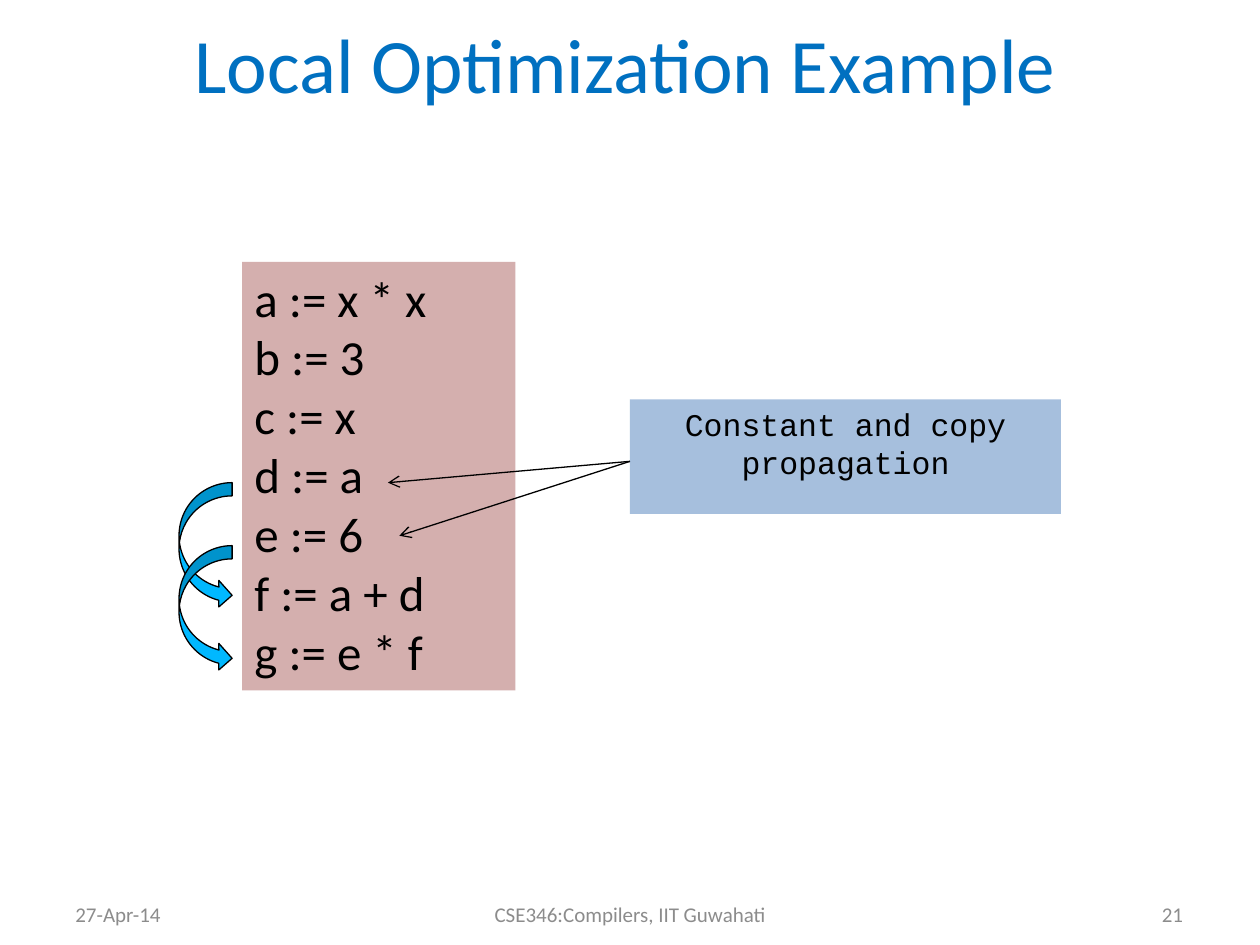
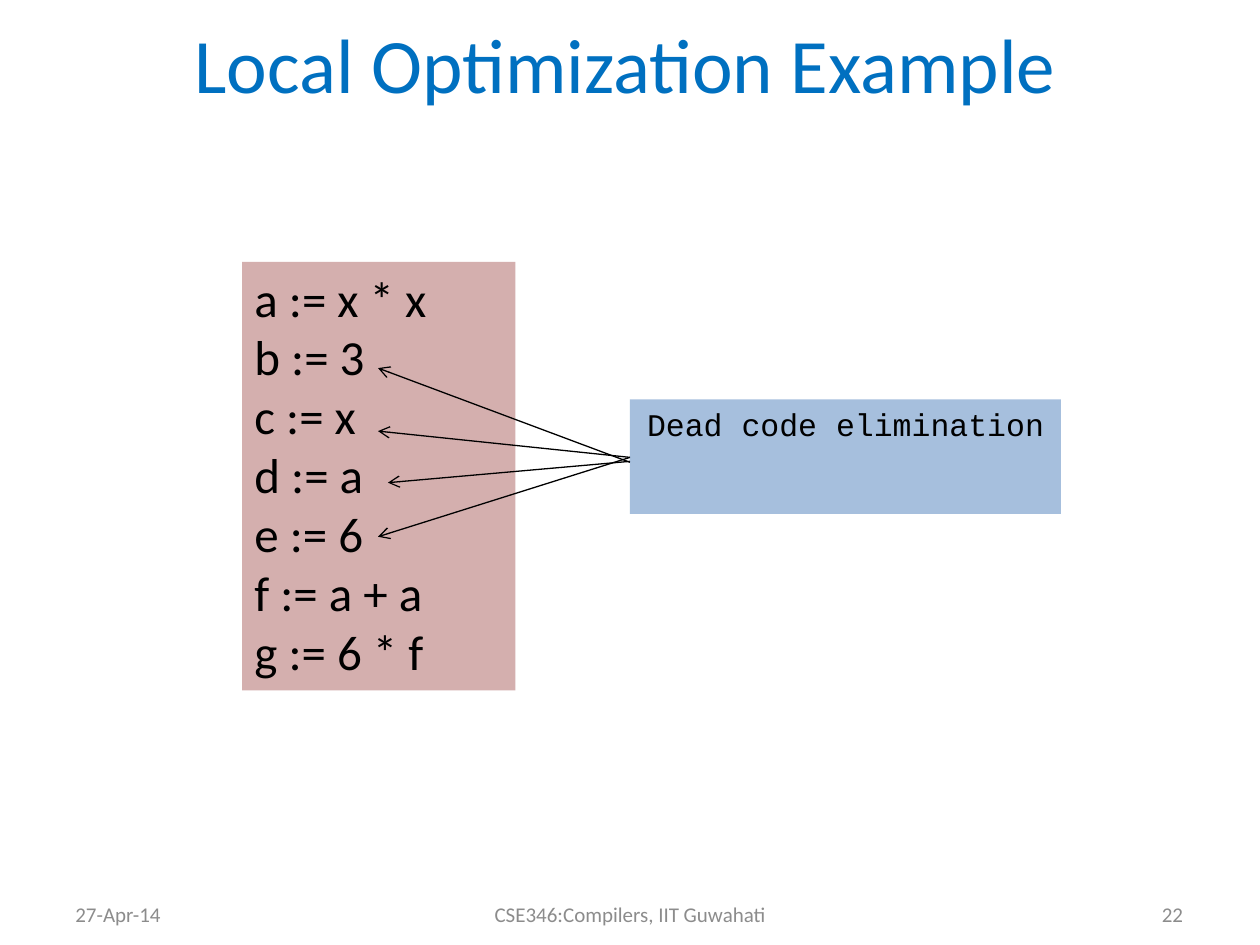
from dataclasses import dataclass

from lxml import etree
from pptx import Presentation
from pptx.dml.color import RGBColor
from pptx.enum.shapes import MSO_CONNECTOR, MSO_SHAPE
from pptx.enum.text import MSO_ANCHOR, PP_ALIGN
from pptx.oxml.ns import qn
from pptx.slide import Slide
from pptx.util import Cm, Pt

LEFT, CENTER, RIGHT = PP_ALIGN.LEFT, PP_ALIGN.CENTER, PP_ALIGN.RIGHT
TOP, MIDDLE = MSO_ANCHOR.TOP, MSO_ANCHOR.MIDDLE
RECTANGLE, CURVED_ARROW = MSO_SHAPE.RECTANGLE, MSO_SHAPE.CURVED_RIGHT_ARROW
STRAIGHT = MSO_CONNECTOR.STRAIGHT

COLORS = {
    "title": "0070C0",
    "footer": "8C8C8C",
    "code": "953735",
    "technique": "4F81BD",
    "flow": "00B8FF",
    "ink": "000000",
}


@dataclass(frozen=True)
class Box:
    left: float
    top: float
    width: float
    height: float


@dataclass(frozen=True)
class TextStyle:
    size: int
    color: str = "ink"
    align: PP_ALIGN = LEFT
    anchor: MSO_ANCHOR = TOP
    font: str = "Calibri"


@dataclass(frozen=True)
class Pointer:
    start_y: float
    end_x: float
    end_y: float


@dataclass(frozen=True)
class Step:
    number: int
    code: tuple[str, ...]
    technique: str
    pointers: tuple[Pointer, ...]
    flow_tops: tuple[float, ...] = ()


TITLE = "Local Optimization Example"
DATE = "27-Apr-14"
COURSE = "CSE346:Compilers, IIT Guwahati"
TITLE_BOX = Box(0.64, 0, 23.93, 2.54)
DATE_BOX = Box(1.27, 18.01, 5.89, 0.84)
COURSE_BOX = Box(8.69, 18.01, 8.03, 0.84)
NUMBER_BOX = Box(18.21, 18.01, 5.89, 0.84)
CODE_BOX = Box(4.88, 5.28, 5.51, 8.64)
TECHNIQUE_BOX = Box(12.7, 8.05, 8.69, 2.31)

TITLE_STYLE = TextStyle(44, "title", CENTER, MIDDLE)
CODE_STYLE = TextStyle(28)
TECHNIQUE_STYLE = TextStyle(18, align=CENTER, font="Courier New")

COMMON_CODE = ("a := x * x", "b := 3", "c := x", "d := a", "e := 6")
COPY_POINTER = Pointer(9.3, 7.82, 9.73)
STEPS = (
    Step(
        21,
        COMMON_CODE + ("f := a + d", "g := e * f"),
        "Constant and copy propagation",
        (Pointer(9.3, 8.05, 10.8), COPY_POINTER),
        (9.73, 11.0),
    ),
    Step(
        22,
        COMMON_CODE + ("f := a + a", "g := 6 * f"),
        "Dead code elimination",
        (
            Pointer(9.22, 7.62, 10.82),
            COPY_POINTER,
            Pointer(9.22, 7.62, 8.69),
            Pointer(9.32, 7.62, 7.42),
        ),
    ),
)


def rgb(name: str) -> RGBColor:
    return RGBColor.from_string(COLORS[name])


def extent(box: Box) -> tuple[Cm, Cm, Cm, Cm]:
    return Cm(box.left), Cm(box.top), Cm(box.width), Cm(box.height)


def write(shape, lines: tuple[str, ...], style: TextStyle) -> None:
    frame = shape.text_frame
    frame.word_wrap = True
    frame.vertical_anchor = style.anchor
    frame.text = "\n".join(lines)
    for paragraph in frame.paragraphs:
        paragraph.alignment = style.align
        paragraph.font.name = style.font
        paragraph.font.size = Pt(style.size)
        paragraph.font.color.rgb = rgb(style.color)


def add_label(slide: Slide, box: Box, text: str, style: TextStyle) -> None:
    write(slide.shapes.add_textbox(*extent(box)), (text,), style)


def add_panel(slide: Slide, box: Box, lines: tuple[str, ...], style: TextStyle,
              color: str, opacity: int) -> None:
    panel = slide.shapes.add_shape(RECTANGLE, *extent(box))
    panel.shadow.inherit = False
    panel.line.fill.background()
    panel.fill.solid()
    panel.fill.fore_color.rgb = rgb(color)
    fill_color = panel.fill._xPr.find(f".//{qn('a:srgbClr')}")
    etree.SubElement(fill_color, qn("a:alpha"), val=str(opacity * 1000))
    write(panel, lines, style)


def add_pointer(slide: Slide, pointer: Pointer) -> None:
    arrow = slide.shapes.add_connector(
        STRAIGHT, Cm(TECHNIQUE_BOX.left), Cm(pointer.start_y),
        Cm(pointer.end_x), Cm(pointer.end_y))
    arrow.line.color.rgb = rgb("ink")
    arrow.line.width = Pt(0.75)
    etree.SubElement(arrow.line._get_or_add_ln(), qn("a:tailEnd"), type="arrow")
    etree.SubElement(arrow._element.spPr, qn("a:effectLst"))


def add_flow(slide: Slide, top: float) -> None:
    flow = slide.shapes.add_shape(CURVED_ARROW, *extent(Box(3.61, top, 1.07, 2.54)))
    flow.shadow.inherit = False
    flow.fill.solid()
    flow.fill.fore_color.rgb = rgb("flow")
    flow.line.color.rgb = rgb("ink")
    flow.line.width = Pt(0.75)


def add_frame(slide: Slide, number: int) -> None:
    add_label(slide, TITLE_BOX, TITLE, TITLE_STYLE)
    for box, text, align in (
        (DATE_BOX, DATE, LEFT),
        (NUMBER_BOX, str(number), RIGHT),
        (COURSE_BOX, COURSE, CENTER),
    ):
        add_label(slide, box, text, TextStyle(12, "footer", align, MIDDLE))


def add_step(slide: Slide, step: Step) -> None:
    add_frame(slide, step.number)
    add_panel(slide, CODE_BOX, step.code, CODE_STYLE, "code", 40)
    for pointer in step.pointers:
        add_pointer(slide, pointer)
    add_panel(slide, TECHNIQUE_BOX, (step.technique,), TECHNIQUE_STYLE, "technique", 50)
    for top in step.flow_tops:
        add_flow(slide, top)


def main() -> None:
    deck = Presentation()
    deck.slide_width, deck.slide_height = Cm(25.4), Cm(19.05)
    blank = deck.slide_layouts[6]
    for step in STEPS:
        add_step(deck.slides.add_slide(blank), step)
    deck.save("out.pptx")


if __name__ == "__main__":
    main()
